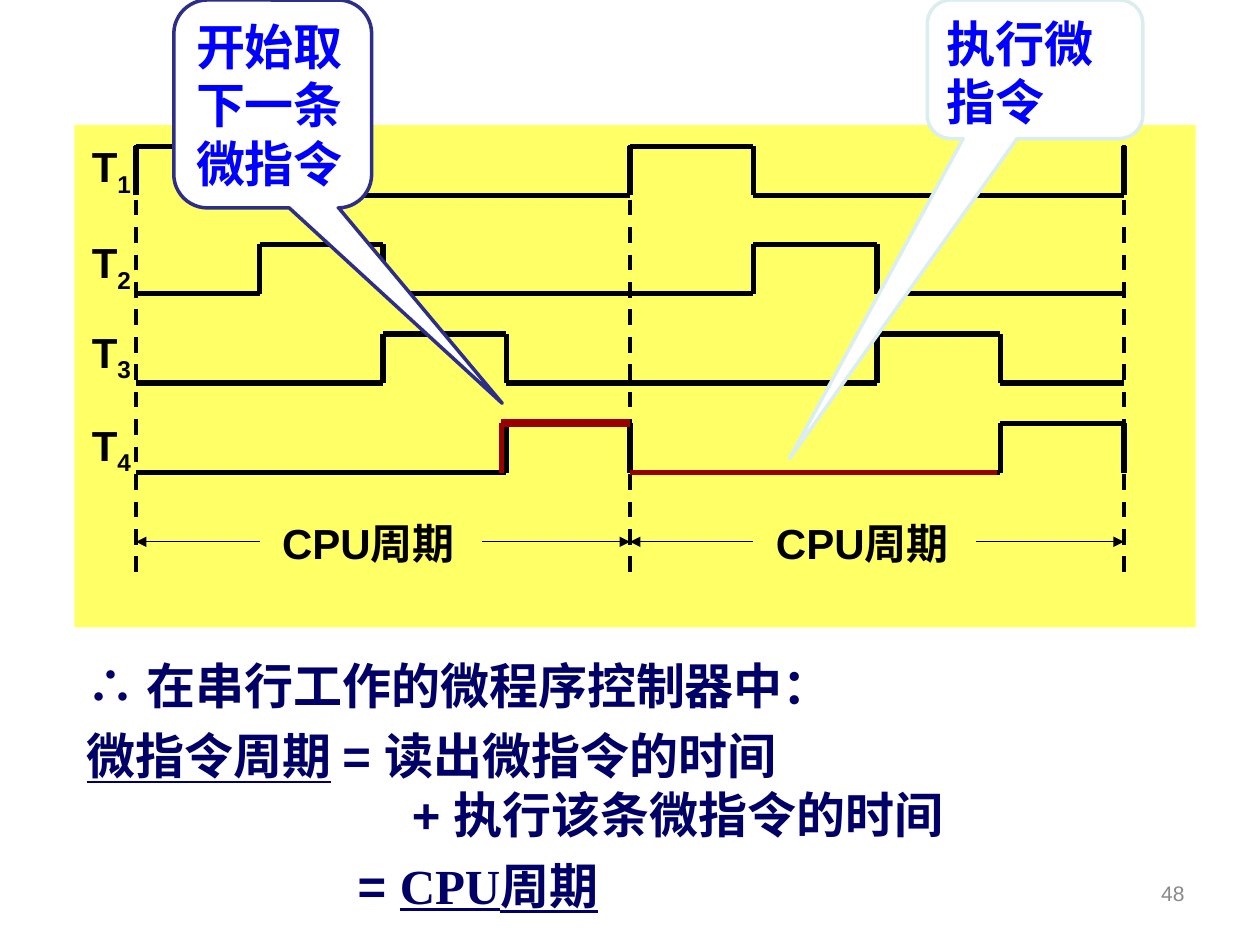
from lxml.etree import SubElement
from pptx import Presentation
from pptx.dml.color import RGBColor
from pptx.enum.dml import MSO_LINE
from pptx.enum.shapes import MSO_CONNECTOR, MSO_SHAPE
from pptx.enum.text import MSO_ANCHOR, MSO_AUTO_SIZE, PP_ALIGN
from pptx.oxml.ns import qn
from pptx.util import Inches, Pt

BLACK = RGBColor(0x00, 0x00, 0x00)
WHITE = RGBColor(0xFF, 0xFF, 0xFF)
YELLOW = RGBColor(0xFF, 0xFF, 0x66)
RED = RGBColor(0x99, 0x00, 0x00)
BLUE = RGBColor(0x00, 0x00, 0xFF)
NAVY = RGBColor(0x00, 0x00, 0x66)
INDIGO = RGBColor(0x2D, 0x2D, 0x8A)
PALE = RGBColor(0xDA, 0xED, 0xEF)
GREY = RGBColor(0x89, 0x89, 0x89)

SANS, SERIF, CHINESE = "Arial", "Times New Roman", "Noto Sans CJK SC"
LEFT, STEP, PULSE = 1.08, 0.98, 0.39
SLOTS, PERIOD = 8, 4
LOW_LEVELS = (1.55, 2.33, 3.04, 3.75)
LABEL_TOPS = (1.07, 1.83, 2.54, 3.28)
ARROW_Y = 4.3

LABEL = {"size": Pt(24), "bold": True, "name": SANS}
CALLOUT = {"size": Pt(28), "bold": True, "name": SERIF}
BODY = {"size": Pt(28), "bold": True, "name": SANS}
NUMBER = {"size": Pt(12), "bold": False, "name": SANS}


def column(slot):
    """Return the x position of a clock slot."""
    return LEFT + slot * STEP


def add_line(page, start, end, color=BLACK, width=3, dashed=False, arrow=False):
    """Draw a straight line, with a dash or an arrowhead if asked."""
    line = page.shapes.add_connector(
        MSO_CONNECTOR.STRAIGHT, *(Inches(value) for value in (*start, *end)))
    line.line.color.rgb = color
    line.line.width = Pt(width)
    if dashed:
        line.line.dash_style = MSO_LINE.DASH
    if arrow:
        SubElement(line.line._get_or_add_ln(), qn("a:tailEnd"), type="triangle")
    SubElement(line._element.spPr, qn("a:effectLst"))


def add_box(page, place, kind=None, fill=None, outline=None):
    """Add a text box, or a filled shape when a kind is given."""
    area = [Inches(value) for value in place]
    if kind is None:
        box = page.shapes.add_textbox(*area)
    else:
        box = page.shapes.add_shape(kind, *area)
        box.shadow.inherit = False
        box.fill.solid()
        box.fill.fore_color.rgb = fill
        if outline is None:
            box.line.fill.background()
        else:
            box.line.color.rgb = outline
            box.line.width = Pt(2)
    box.text_frame.word_wrap = True
    box.text_frame.vertical_anchor = MSO_ANCHOR.TOP
    return box


def add_span(para, text, style, color, **changes):
    """Append a formatted run and return it."""
    span = para.add_run()
    span.text = text
    for name, value in {**style, **changes}.items():
        setattr(span.font, name, value)
    span.font.color.rgb = color
    SubElement(span.font._element, qn("a:ea"), typeface=CHINESE)
    return span


def first_para(box, align=PP_ALIGN.LEFT):
    """Return the aligned first paragraph of a box."""
    para = box.text_frame.paragraphs[0]
    para.alignment = align
    return para


def add_wave(page, row, low):
    """Draw one clock signal, which pulses once in each period."""
    high = low - PULSE
    for rise in (row, row + PERIOD):
        for edge in (rise, rise + 1):
            add_line(page, (column(edge), low), (column(edge), high))
        add_line(page, (column(rise), high), (column(rise + 1), high))
    rests = ((0, row), (row + 1, row + PERIOD), (row + PERIOD + 1, SLOTS))
    for start, end in rests:
        if start < end:
            add_line(page, (column(start), low), (column(end), low))
    if row == 0:
        add_line(page, (column(SLOTS), low), (column(SLOTS), high))


def add_period(page, start, label_left, label_width):
    """Mark one CPU period with a label between two arrows."""
    box = add_box(page, (label_left, 4.06, label_width, 0.5), MSO_SHAPE.RECTANGLE, YELLOW)
    add_span(first_para(box), "CPU周期", LABEL, BLACK)
    for inner, outer in ((1, 0), (2.8, PERIOD)):
        add_line(page, (column(start + inner), ARROW_Y),
                 (column(start + outer), ARROW_Y), width=0.75, arrow=True)


def add_signal_label(page, number, top):
    """Name a clock signal with a subscript number."""
    box = add_box(page, (0.63, top, 0.69, 0.56))
    para = first_para(box)
    add_span(para, "T", LABEL, BLACK)
    index = add_span(para, str(number), LABEL, BLACK)
    index.font._element.set("baseline", "-25000")


def add_callout(page, place, tip, outline, text):
    """Add a rounded speech callout pointing at a tip."""
    box = add_box(page, place, MSO_SHAPE.ROUNDED_RECTANGULAR_CALLOUT, WHITE, outline)
    for index, value in enumerate((*tip, 0.17)):
        box.adjustments[index] = value
    add_span(first_para(box), text, CALLOUT, BLUE)


def add_conclusion(page):
    """Write the formula for the microinstruction period."""
    box = add_box(page, (0.59, 5.15, 8.9, 2.16))
    box.text_frame.auto_size = MSO_AUTO_SIZE.SHAPE_TO_FIT_TEXT
    rows = (
        (0, 1.0, (("∴ 在串行工作的微程序控制器中：", {"name": CHINESE}),)),
        (0, 1.2, (("微指令周期", {"underline": True}), (" = 读出微指令的时间", {}))),
        (2.58, 1.0, (("+ 执行该条微指令的时间", {}),)),
        (2.15, 1.2, (("= ", {}), ("CPU", {"name": SERIF, "underline": True}),
                     ("周期", {"name": CHINESE, "underline": True}))),
    )
    for index, (indent, spacing, spans) in enumerate(rows):
        para = box.text_frame.add_paragraph() if index else first_para(box)
        para.line_spacing = spacing
        para._p.get_or_add_pPr().set("marL", str(Inches(indent)))
        for text, changes in spans:
            add_span(para, text, BODY, NAVY, **changes)


def add_page_number(page):
    """Write the page number at the lower right."""
    box = add_box(page, (7.17, 6.83, 2.33, 0.52))
    box.text_frame.vertical_anchor = MSO_ANCHOR.MIDDLE
    add_span(first_para(box, PP_ALIGN.RIGHT), "48", NUMBER, GREY)


def main():
    """Build the timing diagram slide."""
    deck = Presentation()
    deck.slide_width, deck.slide_height = Inches(10), Inches(7.5)
    page = deck.slides.add_slide(deck.slide_layouts[6])

    add_box(page, (0.59, 0.99, 8.9, 3.99), MSO_SHAPE.RECTANGLE, YELLOW)
    for row, low in enumerate(LOW_LEVELS):
        add_wave(page, row, low)
    for slot in range(0, SLOTS + 1, PERIOD):
        add_line(page, (column(slot), 1.15), (column(slot), 4.62), width=2.25, dashed=True)
    add_period(page, 0, 2.14, 2.2)
    add_period(page, PERIOD, 6.06, 1.71)
    for number, top in enumerate(LABEL_TOPS, 1):
        add_signal_label(page, number, top)

    low = LOW_LEVELS[-1]
    high = low - PULSE
    middle = column(PERIOD)
    add_callout(page, (1.38, 0, 1.57, 1.65), (1.16, 1.44), INDIGO, "开始取下一条微指令")
    add_line(page, (3.98, high), (middle, high), RED, 4.5)
    add_line(page, (middle, low), (7.91, low), RED)
    add_callout(page, (7.36, 0, 1.71, 1.1), (-1.14, 2.81), PALE, "执行微指令")
    add_line(page, (3.98, low), (3.98, high), RED)

    add_conclusion(page)
    add_page_number(page)
    deck.save("out.pptx")


if __name__ == "__main__":
    main()
